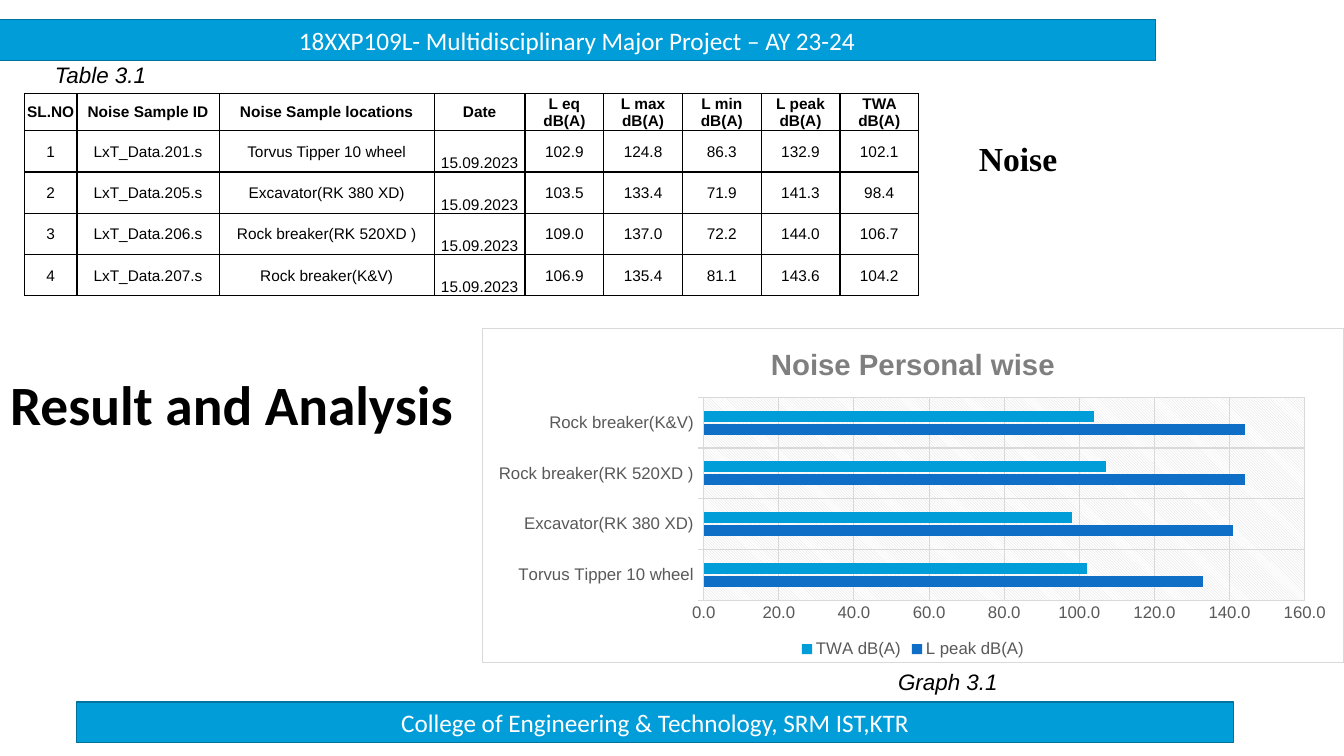
import dataclasses

import pptx
import pptx.chart.data
import pptx.dml.color
import pptx.enum.chart
import pptx.enum.shapes
import pptx.enum.text
import pptx.oxml
import pptx.oxml.ns
import pptx.util

ALIGN = pptx.enum.text.PP_ALIGN
ANCHOR = pptx.enum.text.MSO_ANCHOR
TICK = pptx.enum.chart.XL_TICK_MARK

HEADINGS = ["SL.NO", "Noise Sample ID", "Noise Sample locations", "Date", "L eq dB(A)",
            "L max dB(A)", "L min dB(A)", "L peak dB(A)", "TWA dB(A)"]
DATE_COLUMN = HEADINGS.index("Date")
SAMPLE_DATE = "15.09.2023"
SAMPLES = [
    ("LxT_Data.201.s", "Torvus Tipper 10 wheel", 102.9, 124.8, 86.3, 132.9, 102.1),
    ("LxT_Data.205.s", "Excavator(RK 380 XD)", 103.5, 133.4, 71.9, 141.3, 98.4),
    ("LxT_Data.206.s", "Rock breaker(RK 520XD )", 109.0, 137.0, 72.2, 144.0, 106.7),
    ("LxT_Data.207.s", "Rock breaker(K&V)", 106.9, 135.4, 81.1, 143.6, 104.2),
]


@dataclasses.dataclass(frozen=True)
class Theme:
    accent: str = "009DD9"
    accent_edge: str = "00729E"
    peak: str = "0F6FC6"
    ink: str = "000000"
    paper: str = "FFFFFF"
    label: str = "595959"
    chart_title: str = "7F7F7F"
    rule: str = "D9D9D9"
    body_font: str = "Arial"
    head_font: str = "Calibri"
    topic_font: str = "Times New Roman"
    title_size: float = 39.6
    topic_size: float = 24
    chart_title_size: float = 21
    banner_size: float = 18
    caption_size: float = 16
    chart_size: float = 12
    table_size: float = 11


def rgb(colour):
    return pptx.dml.color.RGBColor.from_string(colour)


def xml(tag, inner):
    names = pptx.oxml.ns.nsdecls("a", "c")
    return pptx.oxml.parse_xml(f"<{tag} {names}>{inner}</{tag.split()[0]}>")


class Page:
    """Draws on one slide; places are percentages of its width and height."""

    def __init__(self, deck, theme):
        self.deck, self.theme = deck, theme
        self.slide = deck.slides.add_slide(deck.slide_layouts[5])

    def place(self, left, top, width, height):
        across, down = self.deck.slide_width / 100, self.deck.slide_height / 100
        return [int(left * across), int(top * down), int(width * across), int(height * down)]

    def style(self, font, name, size, colour, bold=False, italic=False):
        font.name, font.size = name, pptx.util.Pt(size)
        font.bold, font.italic = bold, italic
        font.color.rgb = rgb(colour)

    def title(self, text, place):
        box = self.slide.shapes.title
        box.left, box.top, box.width, box.height = self.place(*place)
        frame = box.text_frame
        frame.text = text
        frame.auto_size = pptx.enum.text.MSO_AUTO_SIZE.NONE
        frame.vertical_anchor = ANCHOR.MIDDLE
        para = frame.paragraphs[0]
        para.alignment, para.line_spacing = ALIGN.LEFT, 0.9
        self.style(para.font, self.theme.head_font, self.theme.title_size, self.theme.ink, bold=True)

    def banner(self, text, place):
        bar = self.slide.shapes.add_shape(
            pptx.enum.shapes.MSO_SHAPE.RECTANGLE, *self.place(*place))
        bar.shadow.inherit = False
        bar.fill.solid()
        bar.fill.fore_color.rgb = rgb(self.theme.accent)
        bar.line.color.rgb = rgb(self.theme.accent_edge)
        bar.line.width = pptx.util.Pt(1)
        bar.text_frame.text = text
        bar.text_frame.vertical_anchor = ANCHOR.MIDDLE
        para = bar.text_frame.paragraphs[0]
        para.alignment = ALIGN.CENTER
        self.style(para.font, self.theme.head_font, self.theme.banner_size, self.theme.paper)

    def label(self, text, place, name, size, **emphasis):
        box = self.slide.shapes.add_textbox(*self.place(*place))
        box.text_frame.word_wrap = True
        box.text_frame.text = text
        self.style(box.text_frame.paragraphs[0].font, name, size, self.theme.ink, **emphasis)

    def caption(self, text, left, top):
        self.label(text, (left, top, 13.8, 4.93),
                   self.theme.body_font, self.theme.caption_size, italic=True)

    def cell(self, cell, text, bold, anchor):
        cell.text = text
        cell.fill.background()
        cell.vertical_anchor = anchor
        cell.margin_left = cell.margin_right = cell.margin_top = pptx.util.Inches(0.01)
        cell.margin_bottom = 0
        para = cell.text_frame.paragraphs[0]
        para.alignment = ALIGN.CENTER
        self.style(para.font, self.theme.body_font, self.theme.table_size, self.theme.ink, bold)
        line = f'<a:solidFill><a:srgbClr val="{self.theme.ink}"/></a:solidFill>'
        for order, side in enumerate("LRTB"):
            cell._tc.get_or_add_tcPr().insert(order, xml(f'a:ln{side} w="12700"', line))

    def table(self, rows, place, column_shares, row_shares):
        left, top, width, height = self.place(*place)
        table = self.slide.shapes.add_table(
            len(rows), len(column_shares), left, top, width, height).table
        table.first_row = table.horz_banding = False
        for column, share in zip(table.columns, column_shares):
            column.width = int(width * share / sum(column_shares))
        for row, share in zip(table.rows, row_shares):
            row.height = int(height * share / sum(row_shares))
        for r, row in enumerate(rows):
            for c, text in enumerate(row):
                low = r > 0 and c == DATE_COLUMN
                self.cell(table.cell(r, c), text, r == 0, ANCHOR.BOTTOM if low else ANCHOR.MIDDLE)

    def axis(self, axis):
        axis.has_major_gridlines = True
        for line in (axis.format.line, axis.major_gridlines.format.line):
            line.color.rgb = rgb(self.theme.rule)
            line.width = pptx.util.Pt(0.75)
        self.style(axis.tick_labels.font, self.theme.body_font,
                   self.theme.chart_size, self.theme.label)

    def bar_chart(self, title, categories, series, place):
        """series holds (name, values, colour), lowest bar first."""
        theme = self.theme
        data = pptx.chart.data.CategoryChartData(number_format="0.0")
        data.categories = categories
        for name, values, _ in series:
            data.add_series(name, [round(value) for value in values])
        chart = self.slide.shapes.add_chart(
            pptx.enum.chart.XL_CHART_TYPE.BAR_CLUSTERED, *self.place(*place), data).chart
        self.style(chart.font, theme.body_font, theme.chart_size, theme.label)
        chart.chart_title.text_frame.text = title
        self.style(chart.chart_title.text_frame.paragraphs[0].font, theme.body_font,
                   theme.chart_title_size, theme.chart_title, bold=True)
        chart.has_legend = True
        chart.legend.position = pptx.enum.chart.XL_LEGEND_POSITION.BOTTOM
        chart.legend.include_in_layout = False
        self.style(chart.legend.font, theme.body_font, theme.chart_size, theme.label)

        plot = chart.plots[0]
        plot.gap_width, plot.overlap, plot.vary_by_categories = 247, -20, False
        for bars, (_, _, colour) in zip(plot.series, series):
            bars.format.fill.solid()
            bars.format.fill.fore_color.rgb = rgb(colour)
        self.axis(chart.category_axis)
        chart.category_axis.major_tick_mark = TICK.OUTSIDE
        values = chart.value_axis
        self.axis(values)
        values.format.line.fill.background()
        values.major_tick_mark = TICK.NONE
        values.minimum_scale, values.maximum_scale, values.major_unit = 0, 160, 20
        values.tick_labels.number_format = "0.0"
        values.tick_labels.number_format_is_linked = False
        self.chart_areas(chart)

    def chart_areas(self, chart):
        """Places and hatches the plot area, and frames the chart."""
        paper = f'<a:srgbClr val="{self.theme.paper}"/>'
        rule = f'<a:srgbClr val="{self.theme.rule}"/>'
        area = chart.element.find(".//" + pptx.oxml.ns.qn("c:plotArea"))
        for layout in area.findall(pptx.oxml.ns.qn("c:layout")):
            area.remove(layout)
        shares = {"x": 25.7, "y": 20.7, "w": 69.8, "h": 60.8}
        spots = "".join(f'<c:{key} val="{value}"/>' for key, value in (
            ("layoutTarget", "inner"), ("xMode", "edge"), ("yMode", "edge"),
            *((key, share / 100) for key, share in shares.items())))
        area.insert(0, xml("c:layout", f"<c:manualLayout>{spots}</c:manualLayout>"))
        area.append(xml("c:spPr", f'<a:pattFill prst="ltDnDiag"><a:fgClr>{rule}</a:fgClr>'
                                  f"<a:bgClr>{paper}</a:bgClr></a:pattFill>"))
        chart.element.find(pptx.oxml.ns.qn("c:chart")).addnext(xml(
            "c:spPr", f"<a:solidFill>{paper}</a:solidFill>"
                      f'<a:ln w="9525"><a:solidFill>{rule}</a:solidFill></a:ln>'))


def main():
    deck = pptx.Presentation()
    deck.slide_width, deck.slide_height = pptx.util.Inches(13.33), pptx.util.Inches(7.5)
    theme = Theme()
    page = Page(deck, theme)
    page.banner("College of Engineering & Technology, SRM IST,KTR", (5.7, 92.85, 86.1, 5.4))
    page.banner("18XXP109L- Multidisciplinary Major Project – AY 23-24", (-0.1, 2.6, 86.1, 5.4))
    rows = [HEADINGS] + [
        [str(number), sample, location, SAMPLE_DATE] + [f"{level:.1f}" for level in levels]
        for number, (sample, location, *levels) in enumerate(SAMPLES, 1)]
    page.table(rows, (1.82, 12.35, 66.54, 26.8),
               [0.52, 1.41, 2.13, 0.9] + [0.78] * 5, [0.37] + [0.41] * len(SAMPLES))
    _, locations, *_, peaks, averages = zip(*SAMPLES)
    page.bar_chart("Noise Personal wise", locations,
                   [(HEADINGS[-2], peaks, theme.peak), (HEADINGS[-1], averages, theme.accent)],
                   (35.86, 43.35, 64.14, 44.3))
    page.caption("Graph 3.1", 66.09, 87.73)
    page.caption("Table 3.1", 3.35, 7.4)
    page.title("Result and Analysis", (0, 49.6, 46.06, 8.53))
    page.label("Noise", (72.09, 17.6, 14.55, 6.67), theme.topic_font, theme.topic_size, bold=True)
    deck.save("out.pptx")


if __name__ == "__main__":
    main()
